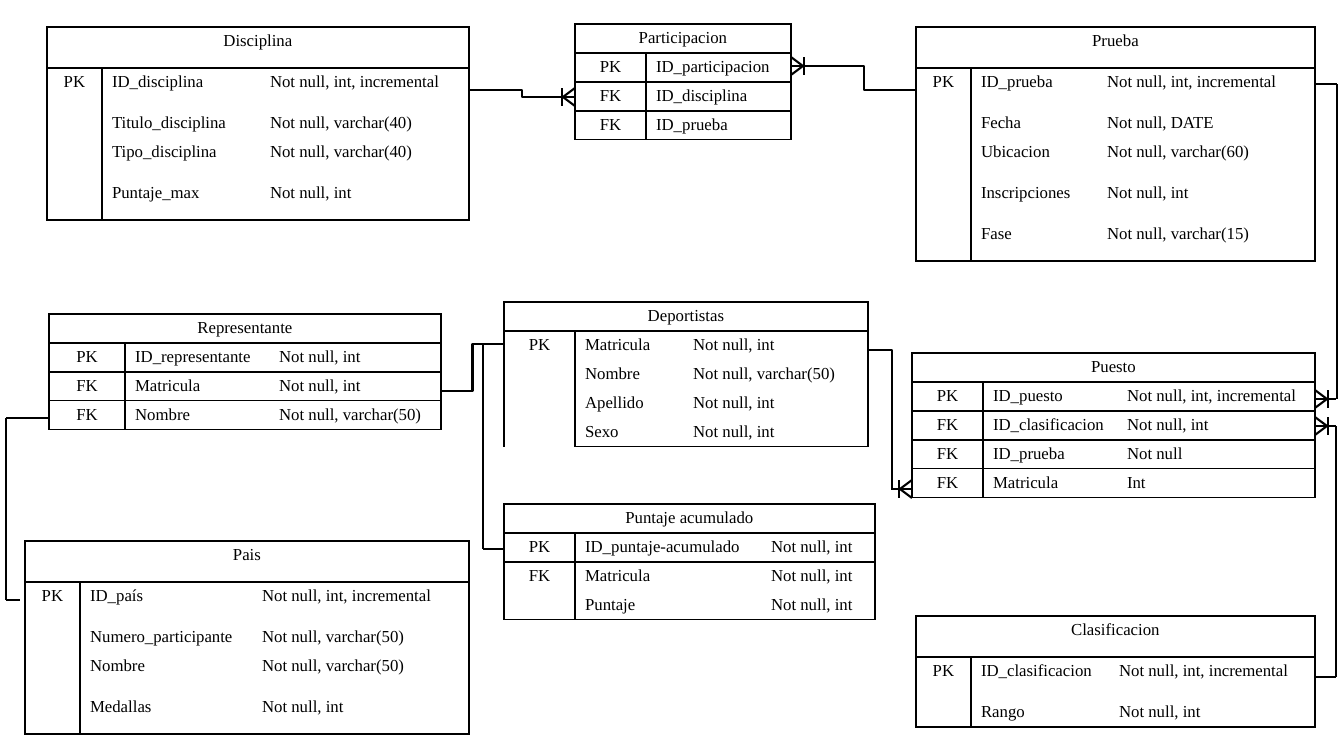
"""Build a slide with the entity tables of a sports database and their links."""
import lxml.etree
import pptx
import pptx.dml.color
import pptx.enum.shapes
import pptx.enum.text
import pptx.oxml
import pptx.oxml.ns
import pptx.util

PX = 914400 / 100.8
INK = "000000"
FACE = "Times New Roman"
KIND = pptx.enum.shapes.MSO_CONNECTOR
ALIGN = pptx.enum.text.PP_ALIGN
tag = pptx.oxml.ns.qn


def tint(code):
    return pptx.dml.color.RGBColor.from_string(code)


def link(shapes, ends, kind=KIND.STRAIGHT, bend=None):
    line = shapes.add_connector(kind, *[round(n * PX) for n in ends])
    line.line.color.rgb = tint(INK)
    line.line.width = pptx.util.Pt(1.5)
    props = line._element.spPr
    lxml.etree.SubElement(props, tag("a:effectLst"))
    if bend is not None:
        geom = props.find(tag("a:prstGeom"))
        guides = geom.find(tag("a:avLst"))
        if guides is None:
            guides = lxml.etree.SubElement(geom, tag("a:avLst"))
        lxml.etree.SubElement(guides, tag("a:gd"), name="adj1", fmla=f"val {bend}")


deck = pptx.Presentation()
deck.slide_width, deck.slide_height = round(1344 * PX), round(756 * PX)
slide = deck.slides.add_slide(deck.slide_layouts[6])

tables = [
    ("Pais", 25, 541, (55, 172, 217), True, [
        "PK|ID_país|Not null, int, incremental",
        "|Numero_participante|Not null, varchar(50)",
        "|Nombre|Not null, varchar(50)",
        "|Medallas|Not null, int"]),
    ("Deportistas", 504, 302, (71, 108, 185), False, [
        "PK|Matricula|Not null, int",
        "|Nombre|Not null, varchar(50)",
        "|Apellido|Not null, int",
        "|Sexo|Not null, int"]),
    ("Prueba", 916, 27, (55, 126, 218), True, [
        "PK|ID_prueba|Not null, int, incremental",
        "|Fecha|Not null, DATE",
        "|Ubicacion|Not null, varchar(60)",
        "|Inscripciones|Not null, int",
        "|Fase|Not null, varchar(15)"]),
    ("Disciplina", 47, 27, (55, 158, 209), True, [
        "PK|ID_disciplina|Not null, int, incremental",
        "|Titulo_disciplina|Not null, varchar(40)",
        "|Tipo_disciplina|Not null, varchar(40)",
        "|Puntaje_max|Not null, int"]),
    ("Clasificacion", 916, 616, (55, 138, 206), True, [
        "PK|ID_clasificacion|Not null, int, incremental",
        "|Rango|Not null, int"]),
    ("Puntaje acumulado", 504, 504, (71, 186, 114), False, [
        "PK|ID_puntaje-acumulado|Not null, int",
        "FK|Matricula|Not null, int",
        "|Puntaje|Not null, int"]),
    ("Representante", 49, 314, (76, 144, 172), False, [
        "PK|ID_representante|Not null, int",
        "FK|Matricula|Not null, int",
        "FK|Nombre|Not null, varchar(50)"]),
    ("Participacion", 575, 24, (71, 145), False, [
        "PK|ID_participacion",
        "FK|ID_disciplina",
        "FK|ID_prueba"]),
    ("Puesto", 912, 353, (71, 134, 198), False, [
        "PK|ID_puesto|Not null, int, incremental",
        "FK|ID_clasificacion|Not null, int",
        "FK|ID_prueba|Not null",
        "FK|Matricula|Int"]),
]

for name, left, top, widths, tall, fields in tables:
    last = len(widths) - 1
    rows = [[name] + [""] * last] + [field.split("|") for field in fields]
    highs = [41 if tall and i != 2 else 29 for i in range(len(rows))]
    box = [round(n * PX) for n in (left, top, sum(widths), sum(highs))]
    grid = slide.shapes.add_table(len(rows), len(widths), *box).table
    grid.first_row = grid.horz_banding = False
    for col, width in zip(grid.columns, widths):
        col.width = round(width * PX)
    for row, high in zip(grid.rows, highs):
        row.height = round(high * PX)
    for i, row in enumerate(rows):
        for j, text in enumerate(row):
            cell = grid.cell(i, j)
            cell.margin_top, cell.margin_bottom = round(5 * PX), round(4 * PX)
            cell.text = text
            para = cell.text_frame.paragraphs[0]
            para.alignment = ALIGN.LEFT if j else ALIGN.CENTER
            para.font.name, para.font.size = FACE, pptx.util.Pt(12)
            para.font.color.rgb = tint(INK)
            if not text:
                lxml.etree.SubElement(para._p, tag("a:endParaRPr"), sz="1200")
            sides = {
                "L": j < 2,
                "R": j in (0, last),
                "T": i == 0 or row[0],
                "B": i == len(rows) - 1 or rows[i + 1][0],
            }
            for side, shown in sides.items():
                edge = lxml.etree.SubElement(
                    cell._tc.get_or_add_tcPr(), tag("a:ln" + side), w="12700")
                paint = lxml.etree.SubElement(
                    edge, tag("a:solidFill" if shown else "a:noFill"))
                if shown:
                    lxml.etree.SubElement(paint, tag("a:srgbClr"), val=INK)
            cell.fill.background()
    grid.cell(0, 0).merge(grid.cell(0, last))
    if name == "Deportistas":
        grid.cell(2, 0).merge(grid.cell(4, 0))

elbows = [
    ((470, 90, 575, 97), 50000),
    ((812, 66, 916, 90), 50000),
    ((868, 350, 892, 489), 100000),
    ((441, 391, 504, 344), 50000),
]
for ends, bend in elbows:
    link(slide.shapes, ends, KIND.ELBOW, bend)

rails = [
    (504, 344, 483, 344), (504, 549, 483, 549), (483, 344, 483, 549),
    (1315, 84, 1337, 84), (1337, 399, 1337, 84),
    (1315, 677, 1336, 677), (1336, 677, 1336, 426),
    (49, 418, 6, 418), (20, 600, 6, 600), (6, 418, 6, 600),
]
for ends in rails:
    link(slide.shapes, ends)

feet = [(1315, 399, 1), (1315, 426, 1), (912, 489, -1), (791, 66, 1), (575, 97, -1)]
for x, y, way in feet:
    foot = slide.shapes.add_group_shape().shapes
    tip, bar = x + 12 * way, x + 13 * way
    link(foot, (x, y + 9, tip, y))
    link(foot, (x, y - 9, tip, y))
    link(foot, (x, y, x + 21 * way, y))
    link(slide.shapes, (bar, y + 9, bar, y - 9))

deck.save("out.pptx")
